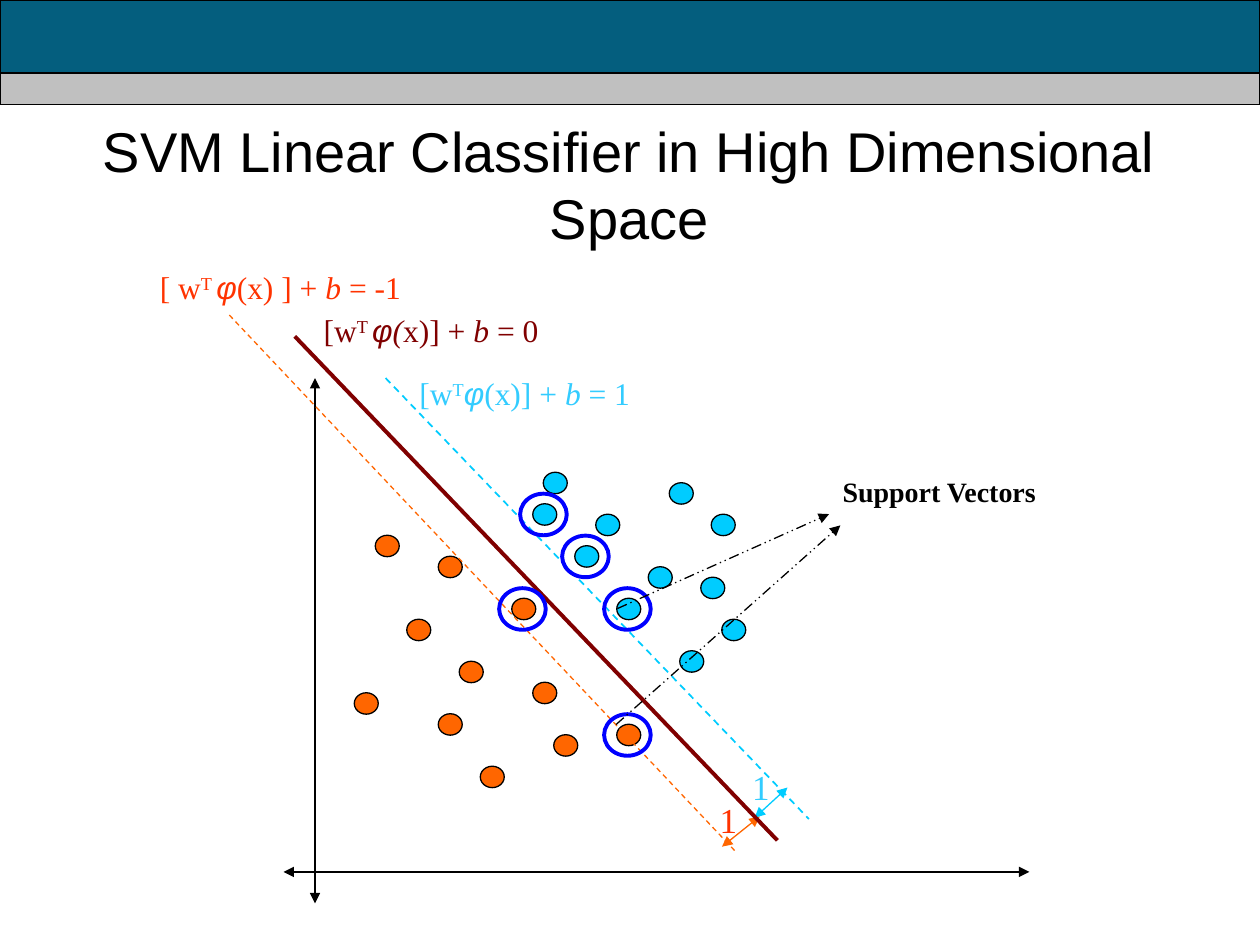
from pptx import Presentation
from pptx.dml.color import RGBColor
from pptx.enum.dml import MSO_LINE as Dash
from pptx.enum.shapes import MSO_CONNECTOR as Conn, MSO_SHAPE as Form
from pptx.enum.text import MSO_ANCHOR as Anchor, MSO_AUTO_SIZE as Fit, PP_ALIGN as Align
from pptx.oxml.ns import qn
from pptx.util import Inches, Pt
from lxml.etree import SubElement

WIDE, HIGH = 10, 7.5
CELL = 1 / 12  # grid step of the plot, in inches
SERIF, SANS = "Times New Roman", "Arial"
BLACK, ORANGE, CYAN, MAROON = "000000", "FF6600", "00CCFF", "800000"
RED, SKY, BLUE = "FF3300", "33CCFF", "0000FF"

TITLE = "SVM Linear Classifier in High Dimensional Space"
BANDS = [(0, 0.83, "045E7E"), (0.58, 0.25, "C0C0C0")]  # top, height, fill

# Text parts: (words, style), where style is "" or "sup", "phi", "it"
LABELS = [
    ((2.47, 2.42, 2.6, 0.4), MAROON,
     [("[w", ""), ("T ", "sup"), ("φ", "phi"), ("(", "it"), ("x)] + ", ""),
      ("b", "it"), (" = 0", "")]),
    ((3.23, 2.92, 2.51, 0.4), SKY,
     [("[w", ""), ("T", "sup"), ("φ", "phi"), ("(x)] + ", ""),
      ("b", "it"), (" = 1", "")]),
    ((1.17, 2.08, 2.33, 0.4), RED,
     [("[ w", ""), ("T ", "sup"), ("φ", "phi"), ("(x) ] + ", ""),
      ("b", "it"), (" = -1", "")]),
]
NOTES = [  # box, colour, size, bold, words, wrap
    ((5.61, 6.29, 0.34, 0.44), RED, 20, False, "1", False),
    ((5.87, 6.03, 0.29, 0.44), SKY, 20, False, "1", True),
    ((6.56, 3.72, 1.76, 0.37), BLACK, 16, True, "Support Vectors", False),
]

# Centres as (column, row) of the grid
DOTS = {
    ORANGE: [(37, 52), (40, 60), (43, 54), (35, 67), (45, 64), (52, 66),
             (43, 69), (50, 58), (54, 71), (47, 74), (60, 70)],
    CYAN: [(52, 49), (65, 47), (56, 53), (53, 46), (63, 55), (58, 50),
           (60, 58), (68, 56), (66, 63), (70, 60), (69, 50)],
}
RINGS = [(60, 58), (56, 53), (52, 49), (60, 70), (50, 58)]

BOTH, END, NONE = ("headEnd", "tailEnd"), ("tailEnd",), ()
GAPS = [  # from, to, colour, width, dash, arrowheads
    ((5.73, 6.72), (6.03, 6.48), ORANGE, 0.75, None, BOTH),
    ((5.99, 6.49), (6.25, 6.25), CYAN, 0.75, None, BOTH),
]
AXES = [
    ((2.5, 3), (2.5, 7.17), BLACK, 0.75, None, BOTH),
    ((2.25, 6.92), (8.17, 6.92), BLACK, 0.75, None, BOTH),
]
PLANES = [
    ((2.34, 2.67), (6.17, 6.67), MAROON, 2.25, None, NONE),
    ((3.06, 3), (6.42, 6.5), CYAN, 1, Dash.DASH, NONE),
    ((1.82, 2.5), (5.83, 6.75), ORANGE, 0.75, Dash.DASH, NONE),
]
LINKS = [
    ((4.9, 4.83), (6.58, 4.08), BLACK, 0.75, Dash.DASH_DOT_DOT, END),
    ((4.89, 5.75), (6.67, 4.17), BLACK, 0.75, Dash.DASH_DOT_DOT, END),
]


def rgb(code):
    return RGBColor.from_string(code)


def inch(box):
    return [Inches(v) for v in box]


def put(goal, **vals):
    for key, val in vals.items():
        setattr(goal, key, val)


def shape(form, box, fill, edge=BLACK, width=0.75):
    item = slide.shapes.add_shape(form, *inch(box))
    item.shadow.inherit = False
    if fill:
        item.fill.solid()
        item.fill.fore_color.rgb = rgb(fill)
    else:
        item.fill.background()
    item.line.color.rgb = rgb(edge)
    item.line.width = Pt(width)


def oval(spot, size, shift, **look):
    """Centre an oval on a grid spot, moved sideways by shift inches."""
    mid = spot[0] * CELL + shift, spot[1] * CELL
    box = [m - s / 2 for m, s in zip(mid, size)] + list(size)
    shape(Form.OVAL, box, **look)


def line(start, end, color, width, dash, heads):
    item = slide.shapes.add_connector(Conn.STRAIGHT, *inch(start + end))
    item.line.color.rgb = rgb(color)
    put(item.line, width=Pt(width), dash_style=dash)
    edge = item._element.spPr.find(qn("a:ln"))
    for head in heads:
        SubElement(edge, qn("a:" + head), type="triangle")
    SubElement(item._element.spPr, qn("a:effectLst"))


def text(box, color, size, parts, wrap=True, align=Align.LEFT, bold=False):
    frame = slide.shapes.add_textbox(*inch(box)).text_frame
    put(frame, word_wrap=wrap, auto_size=Fit.SHAPE_TO_FIT_TEXT)
    para = frame.paragraphs[0]
    para.alignment = align
    for words, style in parts:
        run = para.add_run()
        run.text = words
        put(run.font, name=SANS if style == "phi" else SERIF, size=Pt(size),
            bold=bold, italic=style in ("phi", "it"))
        run.font.color.rgb = rgb(color)
        if style == "sup":
            run.font._element.set("baseline", "30000")


deck = Presentation()
put(deck, slide_width=Inches(WIDE), slide_height=Inches(HIGH))
slide = deck.slides.add_slide(deck.slide_layouts[5])

for top, tall, fill in BANDS:
    shape(Form.RECTANGLE, (0, top, WIDE, tall), fill)

title = slide.shapes.title
left, top, wide, tall = inch((0.08, 0.83, 9.83, 1.25))
put(title, left=left, top=top, width=wide, height=tall)
put(title.text_frame, text=TITLE, word_wrap=True, auto_size=Fit.NONE,
    vertical_anchor=Anchor.MIDDLE)
para = title.text_frame.paragraphs[0]
para.alignment = Align.CENTER
put(para.runs[0].font, name=SANS, size=Pt(32))
para.runs[0].font.color.rgb = rgb(BLACK)

for box, color, parts in LABELS:
    text(box, color, 18, parts)
for args in GAPS:
    line(*args)
for box, color, size, bold, words, wrap in NOTES:
    text(box, color, size, [(words, "")], wrap, Align.RIGHT, bold)
for args in AXES:
    line(*args)
for color, spots in DOTS.items():
    for spot in spots:
        oval(spot, (0.19, 0.17), -0.01, fill=color)
for args in PLANES:
    line(*args)
for spot in RINGS:
    oval(spot, (0.37, 0.33), -0.02, fill=None, edge=BLUE, width=2.25)
for args in LINKS:
    line(*args)

deck.save("out.pptx")
